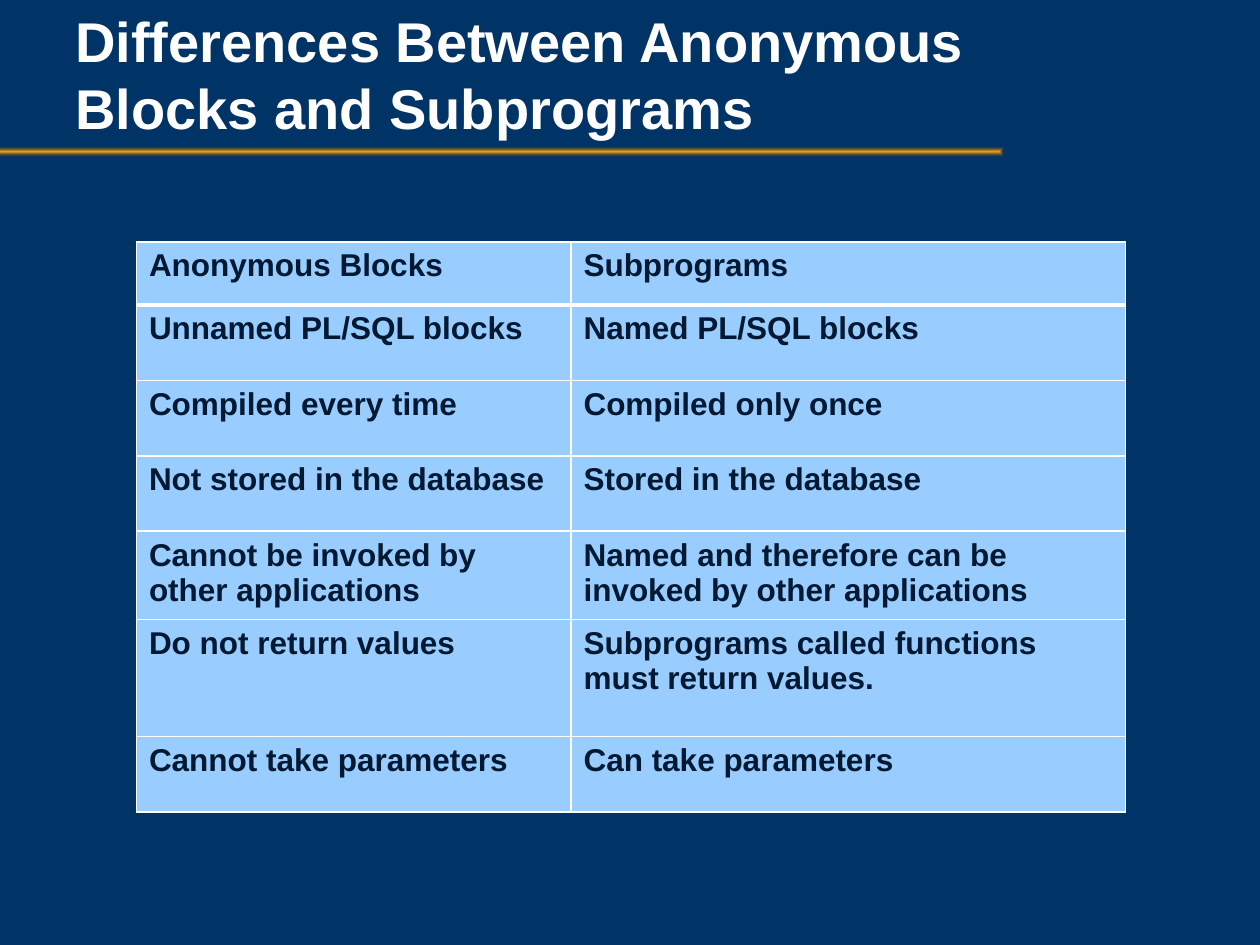
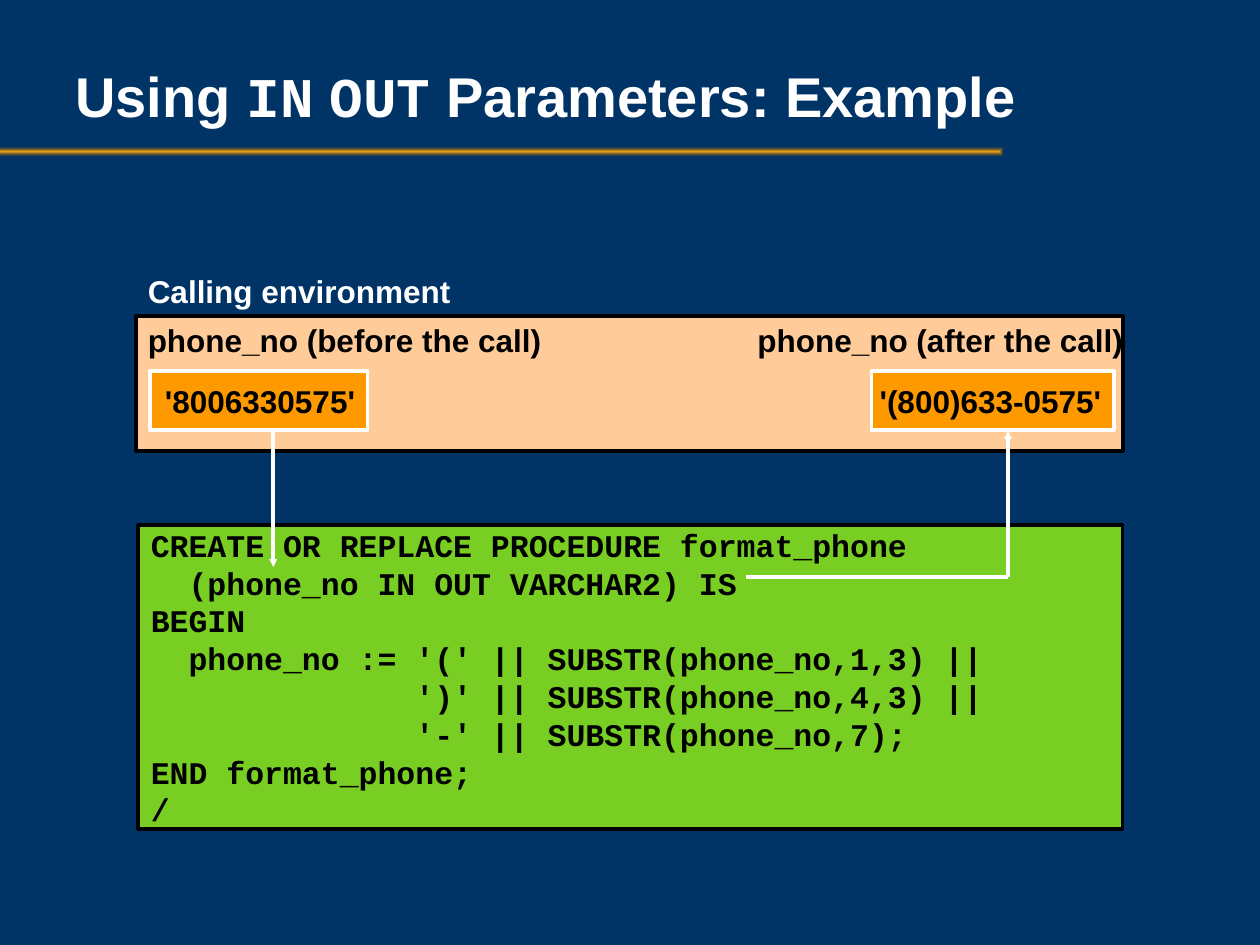
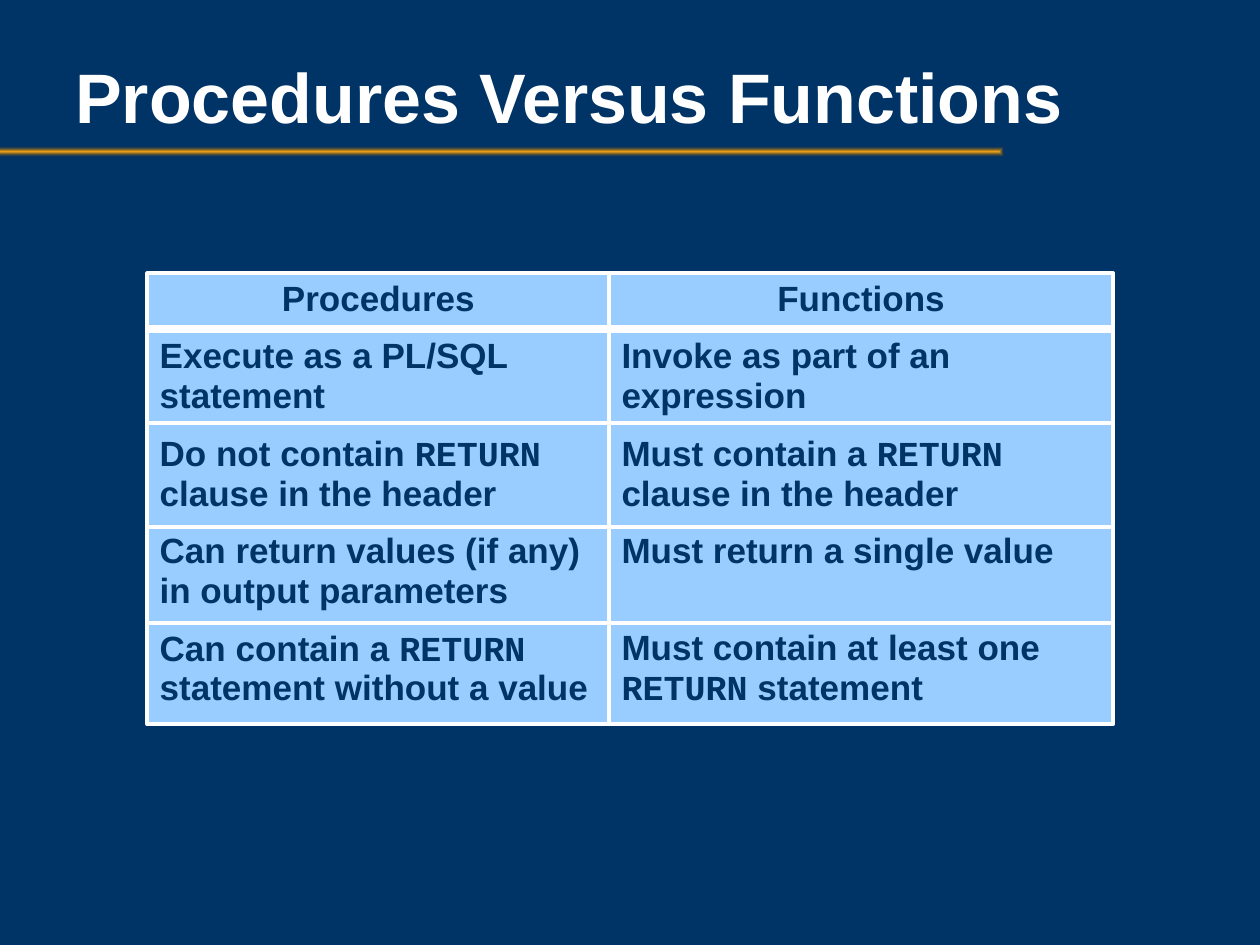
import lxml.etree
import pptx
import pptx.dml.color
import pptx.enum.shapes
import pptx.enum.text
import pptx.oxml.ns
import pptx.util

Cm = pptx.util.Cm
Pt = pptx.util.Pt
qn = pptx.oxml.ns.qn
SubElement = lxml.etree.SubElement
rgb = pptx.dml.color.RGBColor.from_string
ALIGN = pptx.enum.text.PP_ALIGN
ANCHOR = pptx.enum.text.MSO_ANCHOR
RECTANGLE = pptx.enum.shapes.MSO_SHAPE.RECTANGLE
STRAIGHT = pptx.enum.shapes.MSO_CONNECTOR.STRAIGHT


class Theme:
    navy = "003366"
    ink = "001933"
    sky = "99CCFF"
    white = "FFFFFF"
    black = "000000"
    peach = "FFCC99"
    orange = "FF9900"
    green = "79CE24"
    gold = "FAA712"
    bronze = "744D08"
    sans = "Arial"
    mono = "Courier New"
    body = 18
    comparison = 20
    title = 32
    large_title = 40
    edge = 2.25


def write(frame, texts, size, color, name=Theme.sans, align=ALIGN.LEFT, spacing=None, gap=None):
    for index, text in enumerate(texts):
        paragraph = frame.add_paragraph() if index else frame.paragraphs[0]
        layout = {"alignment": align, "line_spacing": spacing}
        if index:
            layout["space_before"] = gap
        for key, value in layout.items():
            setattr(paragraph, key, value)
        for position, part in enumerate(text.split("`")):
            for row, line in enumerate(part.split("\n")):
                if row:
                    paragraph.add_line_break()
                if not line:
                    continue
                run = paragraph.add_run()
                run.text = line
                face = Theme.mono if position % 2 else name
                for key, value in {"size": Pt(size), "bold": True, "name": face}.items():
                    setattr(run.font, key, value)
                run.font.color.rgb = rgb(color)


def add_panel(slide, place, fill, edge):
    panel = slide.shapes.add_shape(RECTANGLE, *map(Cm, place))
    panel.shadow.inherit = False
    panel.fill.solid()
    panel.fill.fore_color.rgb = rgb(fill)
    panel.line.color.rgb = rgb(edge)
    panel.line.width = Pt(Theme.edge)
    return panel


deck = pptx.Presentation()
deck.slide_width, deck.slide_height = Cm(25.4), Cm(19.05)
deck.slide_master.background.fill.solid()
deck.slide_master.background.fill.fore_color.rgb = rgb(Theme.navy)

titles = [
    ("Differences Between Anonymous Blocks and Subprograms", 0, Theme.title),
    ("Using `IN` `OUT` Parameters: Example", 0.44, Theme.title),
    ("Procedures Versus Functions", 0.44, Theme.large_title),
]
for text, top, size in titles:
    slide = deck.slides.add_slide(deck.slide_layouts[6])
    rule = slide.shapes.add_shape(RECTANGLE, Cm(-0.08), Cm(2.95), Cm(20.32), Cm(0.2))
    rule.shadow.inherit = False
    rule.line.fill.background()
    rule.fill.gradient()
    for stop, color, position in zip(rule.fill.gradient_stops, (Theme.gold, Theme.bronze), (0, 1)):
        stop.color.rgb = rgb(color)
        stop.position = position
    gradient = rule._element.spPr.find(qn("a:gradFill"))
    SubElement(gradient.findall(".//" + qn("a:srgbClr"))[1], qn("a:alpha"), val="0")
    gradient.remove(gradient.find(qn("a:lin")))
    glow = SubElement(gradient, qn("a:path"), path="rect")
    SubElement(glow, qn("a:fillToRect"), l="50000", t="50000", r="50000", b="50000")

    heading = slide.shapes.add_textbox(Cm(1.27), Cm(top), Cm(21.79), Cm(2.97)).text_frame
    for key, value in {"word_wrap": True, "vertical_anchor": ANCHOR.MIDDLE}.items():
        setattr(heading, key, value)
    write(heading, [text], size, Theme.white)

blocks_slide, parameters_slide, functions_slide = deck.slides

differences = [
    ("Anonymous Blocks", "Subprograms", 1.27),
    ("Unnamed PL/SQL blocks", "Named PL/SQL blocks", 1.52),
    ("Compiled every time", "Compiled only once", 1.52),
    ("Not stored in the database", "Stored in the database", 1.52),
    ("Cannot be invoked by other applications",
     "Named and therefore can be invoked by other applications", 1.78),
    ("Do not return values", "Subprograms called functions must return values.", 2.36),
    ("Cannot take parameters", "Can take parameters", 1.52),
]
grid = blocks_slide.shapes.add_table(
    len(differences), 2, Cm(2.75), Cm(4.88), Cm(19.94), Cm(11.49)).table
for key, value in {"first_row": False, "horz_banding": False}.items():
    setattr(grid, key, value)
for column, width in zip(grid.columns, (8.76, 11.18)):
    column.width = Cm(width)
for index, (*texts, height) in enumerate(differences):
    grid.rows[index].height = Cm(height)
    for cell, text in zip(grid.rows[index].cells, texts):
        write(cell.text_frame, [text], Theme.body, Theme.ink)
        properties = cell._tc.get_or_add_tcPr()
        for side in ("lnL", "lnR", "lnT", "lnB"):
            heavy = (index, side) in ((0, "lnB"), (1, "lnT"))
            border = SubElement(properties, qn("a:" + side), w=str(Pt(2.21 if heavy else 1.08)))
            paint = SubElement(border, qn("a:solidFill"))
            SubElement(paint, qn("a:srgbClr"), val=Theme.white)
        cell.fill.solid()
        cell.fill.fore_color.rgb = rgb(Theme.sky)

procedure = [
    "CREATE OR REPLACE PROCEDURE format_phone",
    "  (phone_no IN OUT VARCHAR2) IS",
    "BEGIN",
    "  phone_no := '(' || SUBSTR(phone_no,1,3) ||",
    "              ')' || SUBSTR(phone_no,4,3) ||",
    "              '-' || SUBSTR(phone_no,7);",
    "END format_phone;",
    "/",
]
call_panels = [
    ((2.75, 6.38, 19.89, 2.72), Theme.peach, Theme.black, [], Theme.sans, ALIGN.LEFT),
    ((17.57, 7.48, 4.88, 1.19), Theme.orange, Theme.white, ["'(800)633-0575'"],
     Theme.sans, ALIGN.RIGHT),
    ((3.02, 7.48, 4.39, 1.19), Theme.orange, Theme.white, ["'8006330575'"],
     Theme.sans, ALIGN.RIGHT),
    ((2.79, 10.59, 19.84, 6.12), Theme.green, Theme.black, procedure, Theme.mono, ALIGN.LEFT),
]
for place, fill, edge, texts, name, align in call_panels:
    content = add_panel(parameters_slide, place, fill, edge).text_frame
    content.word_wrap = False
    write(content, texts, Theme.body, Theme.black, name, align)

labels = [
    ("Calling environment", 2.75, 5.35, 6.7, Theme.white),
    ("phone_no (before the call)", 2.75, 6.35, 8.46, Theme.black),
    ("phone_no (after the call)", 15.04, 6.35, 7.95, Theme.black),
]
for text, left, top, width, color in labels:
    label = parameters_slide.shapes.add_textbox(Cm(left), Cm(top), Cm(width), Cm(1)).text_frame
    for key, value in {"word_wrap": False, "margin_left": Cm(0.23), "margin_right": Cm(0.23)}.items():
        setattr(label, key, value)
    write(label, [text], Theme.body, color)

comparison = [
    (2.97, 9.32, [
        "Procedures",
        "Execute as a PL/SQL statement",
        "Do not contain `RETURN` clause in the header",
        "Can return values (if any) in output parameters",
        "Can contain a `RETURN `statement without a value",
    ]),
    (12.28, 10.16, [
        "Functions",
        "Invoke as part of an expression",
        "Must contain a `RETURN`\nclause in the header",
        "Must return a single value",
        "Must contain at least one `RETURN` statement",
    ]),
]
for left, width, texts in comparison:
    side = add_panel(functions_slide, (left, 5.51, width, 9.09), Theme.sky, Theme.white).text_frame
    for key, value in {"word_wrap": True, "vertical_anchor": ANCHOR.TOP}.items():
        setattr(side, key, value)
    write(side, texts, Theme.comparison, Theme.navy, spacing=0.95, gap=Pt(10))
    side.paragraphs[0].alignment = ALIGN.CENTER
side.paragraphs[4].space_before = Pt(32.5)

links = [
    (parameters_slide, 5.51, 8.69, 5.51, 11.43, Theme.edge, True),
    (parameters_slide, 15.04, 11.63, 20.32, 11.63, Theme.edge, False),
    (parameters_slide, 20.32, 11.63, 20.32, 8.69, Theme.edge, True),
]
dividers = [
    (functions_slide, 2.92, top, 22.48, top, weight, False)
    for top, weight in ((6.63, 4.5), (8.53, Theme.edge), (10.62, Theme.edge), (12.55, Theme.edge))
]
for slide, *ends, weight, arrow in links + dividers:
    link = slide.shapes.add_connector(STRAIGHT, *map(Cm, ends))
    link.line.color.rgb = rgb(Theme.white)
    link.line.width = Pt(weight)
    outline = link._element.spPr
    if arrow:
        SubElement(outline.find(qn("a:ln")), qn("a:tailEnd"), type="triangle", w="sm", len="sm")
    SubElement(outline, qn("a:effectLst"))

deck.save("out.pptx")
